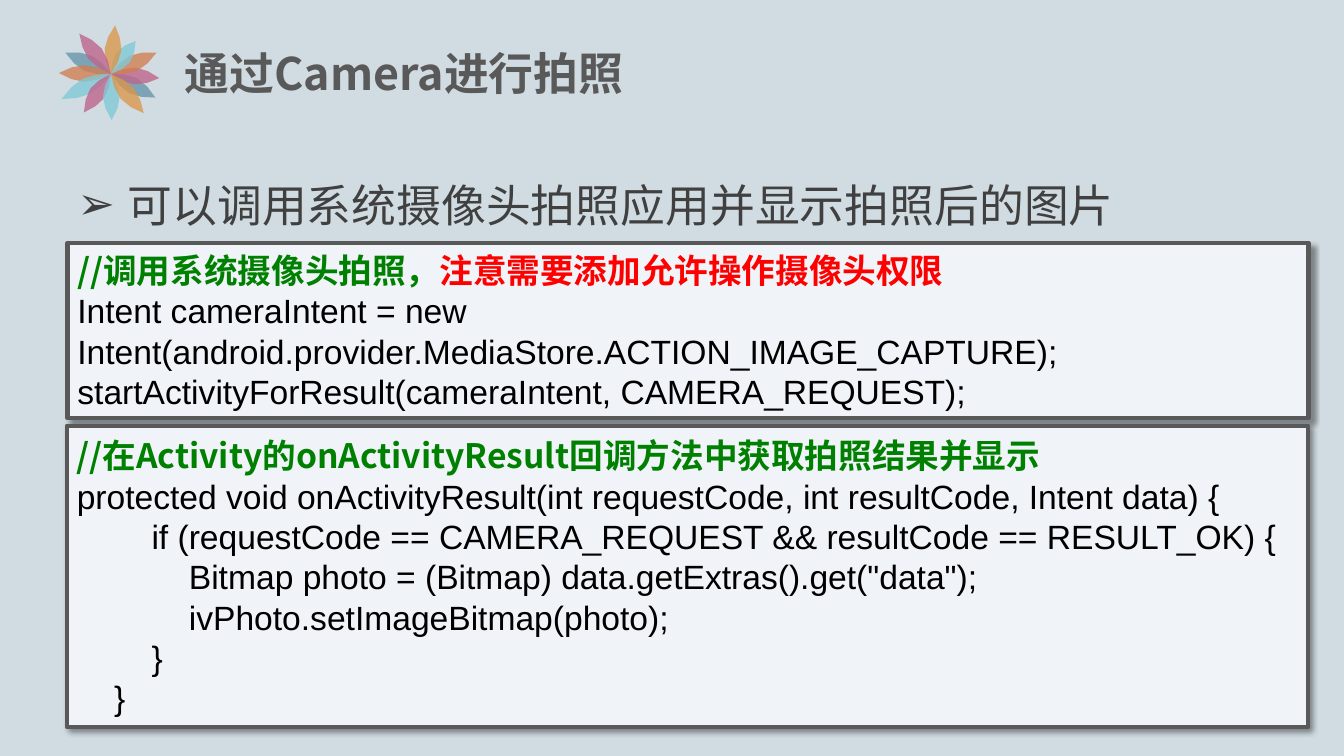
from dataclasses import dataclass
from math import cos, pi, radians, sin

from lxml.etree import SubElement as Sub
from pptx import Presentation
from pptx.dml.color import RGBColor as Rgb
from pptx.enum.shapes import MSO_SHAPE as Shape
from pptx.enum.text import MSO_ANCHOR as Anchor, MSO_AUTO_SIZE as Fit, PP_ALIGN as Align
from pptx.oxml.ns import qn
from pptx.util import Inches, Pt

COLS, ROWS = 160, 90
CELL = Inches(7.5) / ROWS


@dataclass(frozen=True)
class Theme:
    back: str = "D1DCE2"
    panel: str = "F0F3F8"
    edge: str = "595959"
    body: str = "404040"
    note: str = "008000"
    warn: str = "FF0000"
    code: str = "000000"
    blue: str = "6694AB"
    rust: str = "D27E50"
    rose: str = "BF638A"
    aqua: str = "80CAD7"
    gold: str = "DB9649"
    sans: str = "Noto Sans CJK SC"
    mono: str = "Arial"
    head: int = 32
    text: int = 24


@dataclass(frozen=True)
class Box:
    col: float
    row: float
    wide: float
    high: float

    def span(self) -> list[int]:
        return [cells(n) for n in (self.col, self.row, self.wide, self.high)]


@dataclass(frozen=True)
class Petal:
    angle: int  # degrees, clockwise from the right
    reach: float
    tint: str


@dataclass(frozen=True)
class Line:
    text: str
    depth: int = 0


@dataclass(frozen=True)
class Panel:
    box: Box
    note: str
    warn: str
    lines: tuple[Line, ...]


LOOK = Theme()
HUB = (13.2, 8.8)
PETALS = (
    Petal(205, 6, LOOK.blue), Petal(28, 6, LOOK.blue),
    Petal(181, 6.2, LOOK.rust), Petal(5, 5.8, LOOK.rose),
    Petal(153, 6.6, LOOK.aqua), Petal(335, 6, LOOK.rust),
    Petal(125, 5.6, LOOK.rose), Petal(307, 4.9, LOOK.aqua),
    Petal(275, 5.8, LOOK.gold), Petal(89, 5.5, LOOK.aqua),
    Petal(232, 6.1, LOOK.rose), Petal(50, 6.1, LOOK.gold),
)
PANELS = (
    Panel(Box(8.04, 28.92, 147.75, 20.88), "//调用系统摄像头拍照，", "注意需要添加允许操作摄像头权限", (
        Line("Intent cameraIntent = new Intent(android.provider.MediaStore.ACTION_IMAGE_CAPTURE);"),
        Line("startActivityForResult(cameraIntent, CAMERA_REQUEST);"),
    )),
    Panel(Box(7.96, 50.68, 147.75, 35.88), "//在Activity的onActivityResult回调方法中获取拍照结果并显示", "", (
        Line("protected void onActivityResult(int requestCode, int resultCode, Intent data) {"),
        Line("if (requestCode == CAMERA_REQUEST && resultCode == RESULT_OK) {", 2),
        Line('Bitmap photo = (Bitmap) data.getExtras().get("data");', 3),
        Line("ivPhoto.setImageBitmap(photo);", 3),
        Line("}", 2),
        Line("}", 1),
    )),
)


def cells(count: float) -> int:
    return round(count * CELL)


def style(font, face: str, size: int, tint: str, bold: bool = False) -> None:
    font.size, font.bold, font.name = Pt(size), bold, face
    font.color.rgb = Rgb.from_string(tint)
    Sub(font._element, qn("a:ea"), typeface=face)


def place(shape, box: Box) -> None:
    shape.left, shape.top, shape.width, shape.height = box.span()


def draw_petal(slide, petal: Petal) -> None:
    turn, steps = radians(petal.angle), 4
    # Out along one side of the leaf, back along the other
    points = []
    for i in range(2 * steps):
        along = petal.reach * (1 - abs(1 - i / steps))
        off = sin(pi * i / steps)
        points.append((cells(HUB[0] + along * cos(turn) - off * sin(turn)),
                       cells(HUB[1] + along * sin(turn) + off * cos(turn))))
    pen = slide.shapes.build_freeform(*points[0])
    pen.add_line_segments(points[1:], close=True)
    leaf = pen.convert_to_shape()
    leaf.shadow.inherit = False
    leaf.line.fill.background()
    leaf.fill.solid()
    leaf.fill.fore_color.rgb = Rgb.from_string(petal.tint)
    tint = leaf._element.spPr.find(qn("a:solidFill"))[0]
    Sub(tint, qn("a:alpha"), val="78000")


def add_shadow(shape) -> None:
    shape.shadow.inherit = False
    effects = shape._element.spPr.find(qn("a:effectLst"))
    drop = Sub(effects, qn("a:outerShdw"), blurRad=str(Pt(4)), dist=str(Pt(3)),
               dir="2700000", algn="tl", rotWithShape="0")
    black = Sub(drop, qn("a:srgbClr"), val=LOOK.code)
    Sub(black, qn("a:alpha"), val="40000")


def draw_panel(slide, panel: Panel) -> None:
    rect = slide.shapes.add_shape(Shape.RECTANGLE, *panel.box.span())
    rect.fill.solid()
    rect.fill.fore_color.rgb = Rgb.from_string(LOOK.panel)
    rect.line.color.rgb = Rgb.from_string(LOOK.edge)
    rect.line.width = Pt(3)
    add_shadow(rect)
    frame = rect.text_frame
    frame.word_wrap, frame.vertical_anchor = True, Anchor.MIDDLE

    # Comment line, with an optional warning
    first = frame.paragraphs[0]
    first.alignment = Align.LEFT
    for text, tint in ((panel.note, LOOK.note), (panel.warn, LOOK.warn)):
        if text:
            run = first.add_run()
            run.text = text
            style(run.font, LOOK.sans, LOOK.text, tint, True)

    # Code lines, four spaces' width per level
    for line in panel.lines:
        para = frame.add_paragraph()
        para.text, para.alignment = line.text, Align.LEFT
        style(para.font, LOOK.mono, LOOK.text, LOOK.code)
        para._p.get_or_add_pPr().set("marL", str(cells(4.45 * line.depth)))


def fill_title(title) -> None:
    place(title, Box(20.76, 3.4, 106.7, 10.4))
    frame = title.text_frame
    frame.text = "通过Camera进行拍照"
    frame.auto_size, frame.vertical_anchor = Fit.NONE, Anchor.MIDDLE
    para = frame.paragraphs[0]
    para.alignment = Align.LEFT
    style(para.font, LOOK.sans, LOOK.head, LOOK.edge, True)


def fill_body(body) -> None:
    place(body, Box(8, 17.3, 144, 63.1))
    frame = body.text_frame
    frame.text = "可以调用系统摄像头拍照应用并显示拍照后的图片"
    frame.auto_size = Fit.NONE
    para = frame.paragraphs[0]
    para.line_spacing, para.space_before = 1.5, Pt(0)
    style(para.font, LOOK.sans, LOOK.head, LOOK.body)
    props = para._p.get_or_add_pPr()
    props.set("marL", str(cells(6)))
    props.set("indent", str(cells(-6)))
    mark = Sub(props, qn("a:buChar"), char="➢")
    props.find(qn("a:defRPr")).addprevious(mark)


def main() -> None:
    deck = Presentation()
    deck.slide_width, deck.slide_height = cells(COLS), cells(ROWS)
    slide = deck.slides.add_slide(deck.slide_layouts[1])
    slide.background.fill.solid()
    slide.background.fill.fore_color.rgb = Rgb.from_string(LOOK.back)

    # Flower ornament
    for petal in PETALS:
        draw_petal(slide, petal)

    # Title and lead point
    fill_title(slide.shapes.title)
    fill_body(slide.placeholders[1])

    # Code panels
    for panel in PANELS:
        draw_panel(slide, panel)

    deck.save("out.pptx")


if __name__ == "__main__":
    main()
